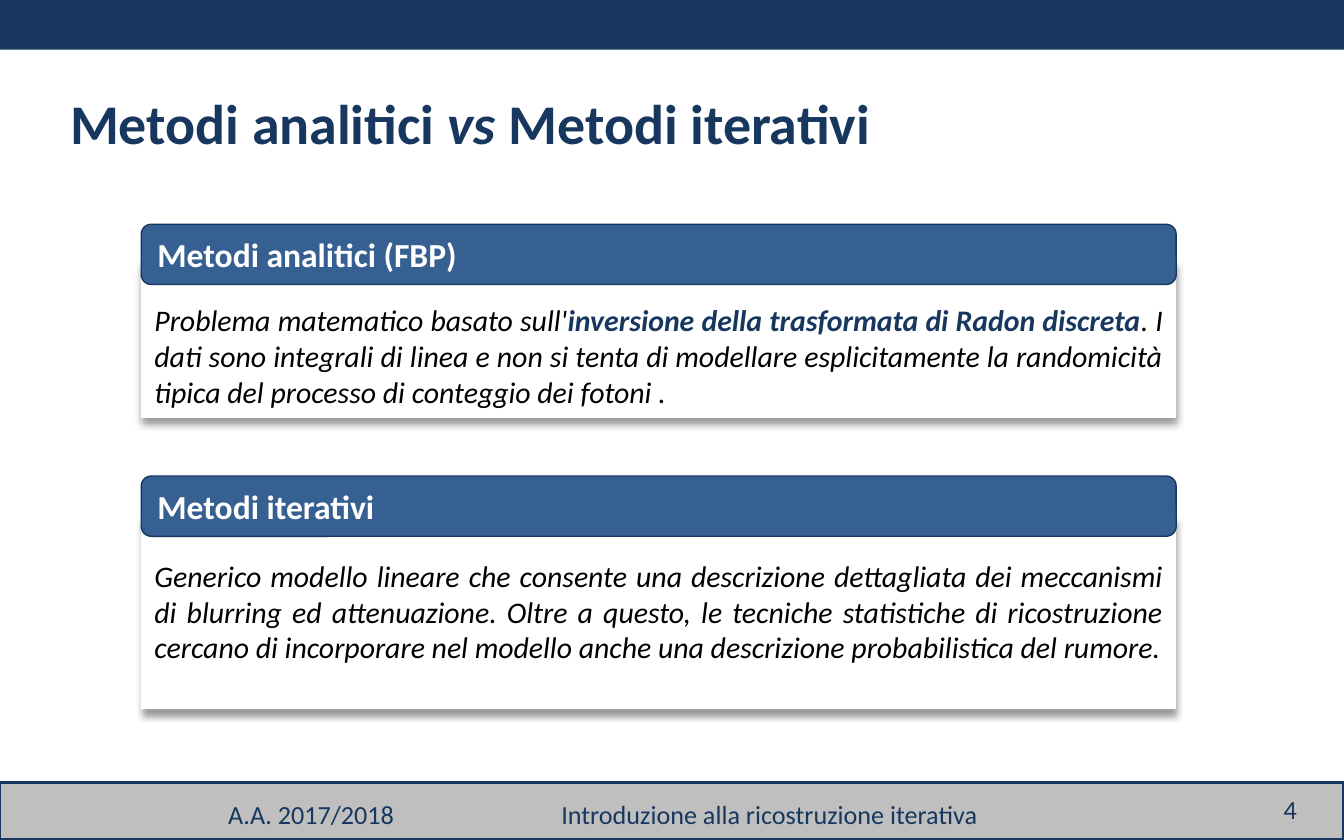
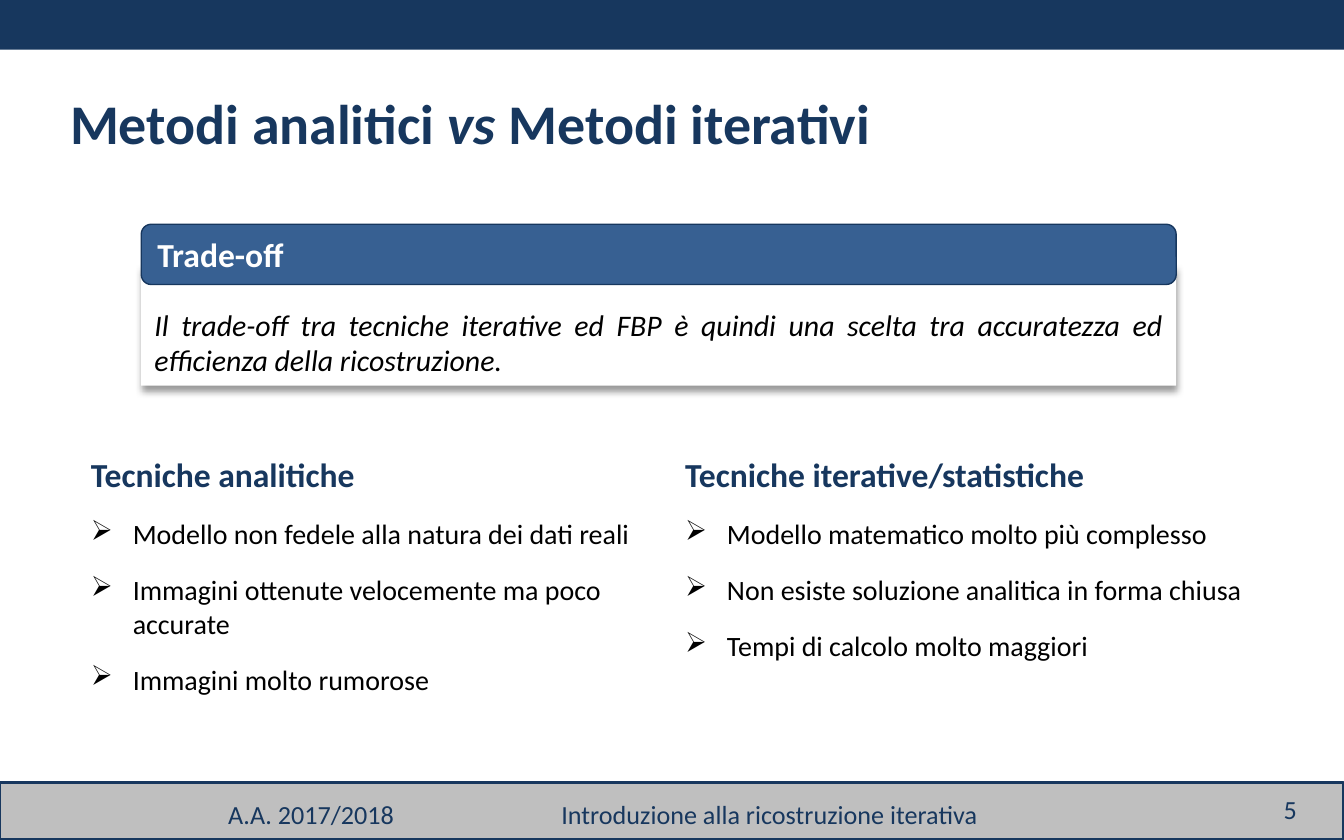
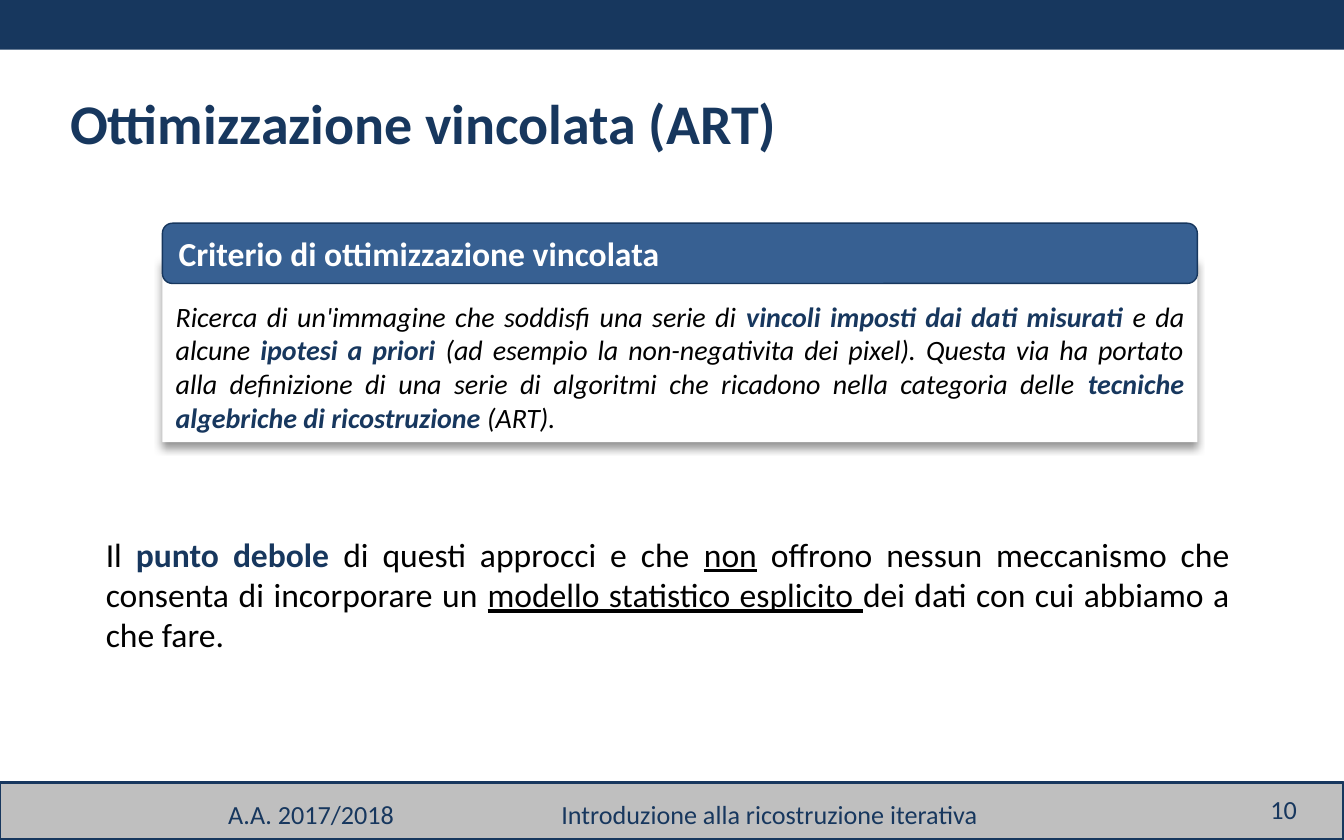
from dataclasses import dataclass

from lxml import etree
from pptx import Presentation
from pptx.dml.color import RGBColor
from pptx.enum.shapes import MSO_SHAPE
from pptx.enum.text import MSO_ANCHOR, MSO_AUTO_SIZE, PP_ALIGN
from pptx.oxml.ns import qn
from pptx.util import Cm, Pt

RECT, ROUNDED = MSO_SHAPE.RECTANGLE, MSO_SHAPE.ROUNDED_RECTANGLE
LEFT, RIGHT, JUSTIFY = PP_ALIGN.LEFT, PP_ALIGN.RIGHT, PP_ALIGN.JUSTIFY
TOP, MIDDLE = MSO_ANCHOR.TOP, MSO_ANCHOR.MIDDLE


@dataclass(frozen=True)
class Theme:
    font: str = "Calibri"
    navy: str = "17375E"
    blue: str = "376092"
    grey: str = "BFBFBF"
    white: str = "FFFFFF"
    black: str = "000000"
    title: int = 30
    heading: int = 18
    body: int = 16
    small_body: int = 15
    footer: int = 14


THEME = Theme()
SLIDE_W, SLIDE_H = 25.4, 15.88
TOP_BAND_H, FOOTER_H = 0.94, 1.09
PANEL_LEFT, PANEL_W, PANEL_HEAD_H = 2.67, 19.56, 1.14
PANEL_TOP = 4.24
PANEL_TEXT_INSET = 0.81  # keeps the text clear of the overlapping header
BULLET_INDENT = 0.79

# Run styles used inside running text
KEY = {"bold": True, "color": THEME.navy}
ITALIC = {"italic": True}
UNDERLINE = {"underline": True}

VERSUS_TITLE = ["Metodi analitici ", ("vs ", ITALIC), "Metodi iterativi"]


def box(left, top, width, height):
    return Cm(left), Cm(top), Cm(width), Cm(height)


def style_run(run, size, color=THEME.black, bold=False, italic=False, underline=False):
    font = run.font
    font.name, font.size = THEME.font, Pt(size)
    font.color.rgb = RGBColor.from_string(color)
    font.bold, font.italic, font.underline = bold, italic, underline


def write(paragraph, spans, size, align=LEFT, **base):
    """Write plain strings or (string, style) pairs as runs."""
    paragraph.alignment = align
    for span in spans:
        text, style = (span, {}) if isinstance(span, str) else span
        run = paragraph.add_run()
        run.text = text
        style_run(run, size, **{**base, **style})


def add_text(slide, place, spans, size, align=LEFT, anchor=TOP, **base):
    frame = slide.shapes.add_textbox(*box(*place)).text_frame
    frame.word_wrap = True
    frame.vertical_anchor = anchor
    write(frame.paragraphs[0], spans, size, align, **base)
    return frame


def add_block(slide, kind, place, fill, line=None, line_width=0.75):
    block = slide.shapes.add_shape(kind, *box(*place))
    block.shadow.inherit = False
    block.fill.solid()
    block.fill.fore_color.rgb = RGBColor.from_string(fill)
    if line:
        block.line.color.rgb = RGBColor.from_string(line)
        block.line.width = Pt(line_width)
    else:
        block.line.fill.background()
    return block


def drop_shadow(block):
    effects = block.element.spPr.find(qn("a:effectLst"))
    shadow = etree.SubElement(effects, qn("a:outerShdw"), blurRad=str(Pt(4)),
                              dist=str(Pt(3)), dir="5400000", algn="t", rotWithShape="0")
    color = etree.SubElement(shadow, qn("a:srgbClr"), val=THEME.black)
    etree.SubElement(color, qn("a:alpha"), val="40000")


def add_panel(slide, heading, spans, head_top, body_top, body_height,
              left=PANEL_LEFT, size=THEME.body):
    """Shadowed white text panel under a rounded blue header."""
    body = add_block(slide, RECT, (left, body_top, PANEL_W, body_height), THEME.white)
    drop_shadow(body)
    frame = body.text_frame
    frame.word_wrap = True
    frame.vertical_anchor = TOP
    frame.margin_top = Cm(PANEL_TEXT_INSET)
    write(frame.paragraphs[0], spans, size, JUSTIFY, italic=True)

    header = add_block(slide, ROUNDED, (left, head_top, PANEL_W, PANEL_HEAD_H),
                       THEME.blue, THEME.navy)
    header.text_frame.vertical_anchor = MIDDLE
    write(header.text_frame.paragraphs[0], [heading], THEME.heading,
          color=THEME.white, bold=True)


def add_bullet_column(slide, place, heading, items):
    frame = add_text(slide, place, [heading], THEME.heading, **KEY)
    frame.paragraphs[0].space_after = Pt(12)
    for item in items:
        paragraph = frame.add_paragraph()
        write(paragraph, [item], THEME.small_body)
        paragraph.space_after = Pt(12)
        properties = paragraph._p.get_or_add_pPr()
        properties.set("marL", str(Cm(BULLET_INDENT)))
        properties.set("indent", str(-Cm(BULLET_INDENT)))
        etree.SubElement(properties, qn("a:buChar"), char="➢")


def add_slide(deck, title_spans, number):
    """Slide with the shared bands, footer and title."""
    slide = deck.slides.add_slide(deck.slide_layouts[5])

    # Bands
    add_block(slide, RECT, (0, 0, SLIDE_W, TOP_BAND_H), THEME.navy)
    add_block(slide, RECT, (0, SLIDE_H - FOOTER_H, SLIDE_W, FOOTER_H),
              THEME.grey, THEME.navy, 1.5)

    # Footer
    add_text(slide, (4.06, 14.96, 4.88, 0.86), ["A.A. 2017/2018"],
             THEME.footer, color=THEME.navy)
    add_text(slide, (10.36, 14.96, 11, 0.86), ["Introduzione alla ricostruzione iterativa"],
             THEME.footer, color=THEME.navy)
    add_text(slide, (22.02, 14.88, 2.74, 0.84), [str(number)],
             THEME.footer, RIGHT, MIDDLE, color=THEME.navy)

    # Title
    title = slide.shapes.title
    title.left, title.top, title.width, title.height = box(1.07, 1.55, 23.06, 1.55)
    frame = title.text_frame
    frame.auto_size = MSO_AUTO_SIZE.NONE
    frame.vertical_anchor = TOP
    write(frame.paragraphs[0], title_spans, THEME.title, **KEY)
    return slide


def build_comparison(deck):
    slide = add_slide(deck, VERSUS_TITLE, 4)
    add_panel(slide, "Metodi analitici (FBP)", [
        "Problema matematico basato sull'",
        ("inversione della trasformata di Radon discreta", KEY),
        ". I dati sono integrali di linea e non si tenta di modellare esplicitamente "
        "la randomicità tipica del processo di conteggio dei fotoni .",
    ], PANEL_TOP, 4.9, 3)
    add_panel(slide, "Metodi iterativi", [
        "Generico modello lineare che consente una descrizione dettagliata dei meccanismi "
        "di blurring ed attenuazione. Oltre a questo, le tecniche statistiche di "
        "ricostruzione cercano di incorporare nel modello anche una descrizione "
        "probabilistica del rumore.",
    ], 9, 9.73, 3.68)


def build_trade_off(deck):
    slide = add_slide(deck, VERSUS_TITLE, 5)
    add_panel(slide, "Trade-off", [
        "Il trade-off tra tecniche iterative ed FBP è quindi una scelta tra accuratezza "
        "ed efficienza della ricostruzione.",
    ], PANEL_TOP, 4.98, 2.31)
    add_bullet_column(slide, (1.47, 8.46, 11, 4.88), "Tecniche analitiche", [
        "Modello non fedele alla natura dei dati reali",
        "Immagini ottenute velocemente ma poco accurate",
        "Immagini molto rumorose",
    ])
    add_bullet_column(slide, (12.7, 8.46, 11.86, 4.24), "Tecniche iterative/statistiche", [
        "Modello matematico molto più complesso",
        "Non esiste soluzione analitica in forma chiusa",
        "Tempi di calcolo molto maggiori",
    ])


def build_constrained_optimisation(deck):
    slide = add_slide(deck, ["Ottimizzazione vincolata (ART)"], 10)
    add_panel(slide, "Criterio di ottimizzazione vincolata", [
        "Ricerca di un'immagine che soddisfi una serie di ",
        ("vincoli imposti dai dati misurati ", KEY),
        "e da alcune ",
        ("ipotesi a priori ", KEY),
        "(ad esempio la non-negativita dei pixel). Questa via ha portato alla definizione "
        "di una serie di algoritmi che ricadono nella categoria delle ",
        ("tecniche algebriche di ricostruzione ", KEY),
        "(ART).",
    ], 4.22, 4.85, 3.51, left=3.07, size=THEME.small_body)
    add_text(slide, (1.75, 9.96, 21.74, 2.57), [
        "Il ",
        ("punto debole ", KEY),
        "di questi approcci e che ",
        ("non", UNDERLINE),
        " offrono nessun meccanismo che consenta di incorporare un ",
        ("modello statistico esplicito ", UNDERLINE),
        "dei dati con cui abbiamo a che fare.",
    ], THEME.heading, JUSTIFY)


def main():
    deck = Presentation()
    deck.slide_width, deck.slide_height = Cm(SLIDE_W), Cm(SLIDE_H)
    build_comparison(deck)
    build_trade_off(deck)
    build_constrained_optimisation(deck)
    deck.save("out.pptx")


if __name__ == "__main__":
    main()
